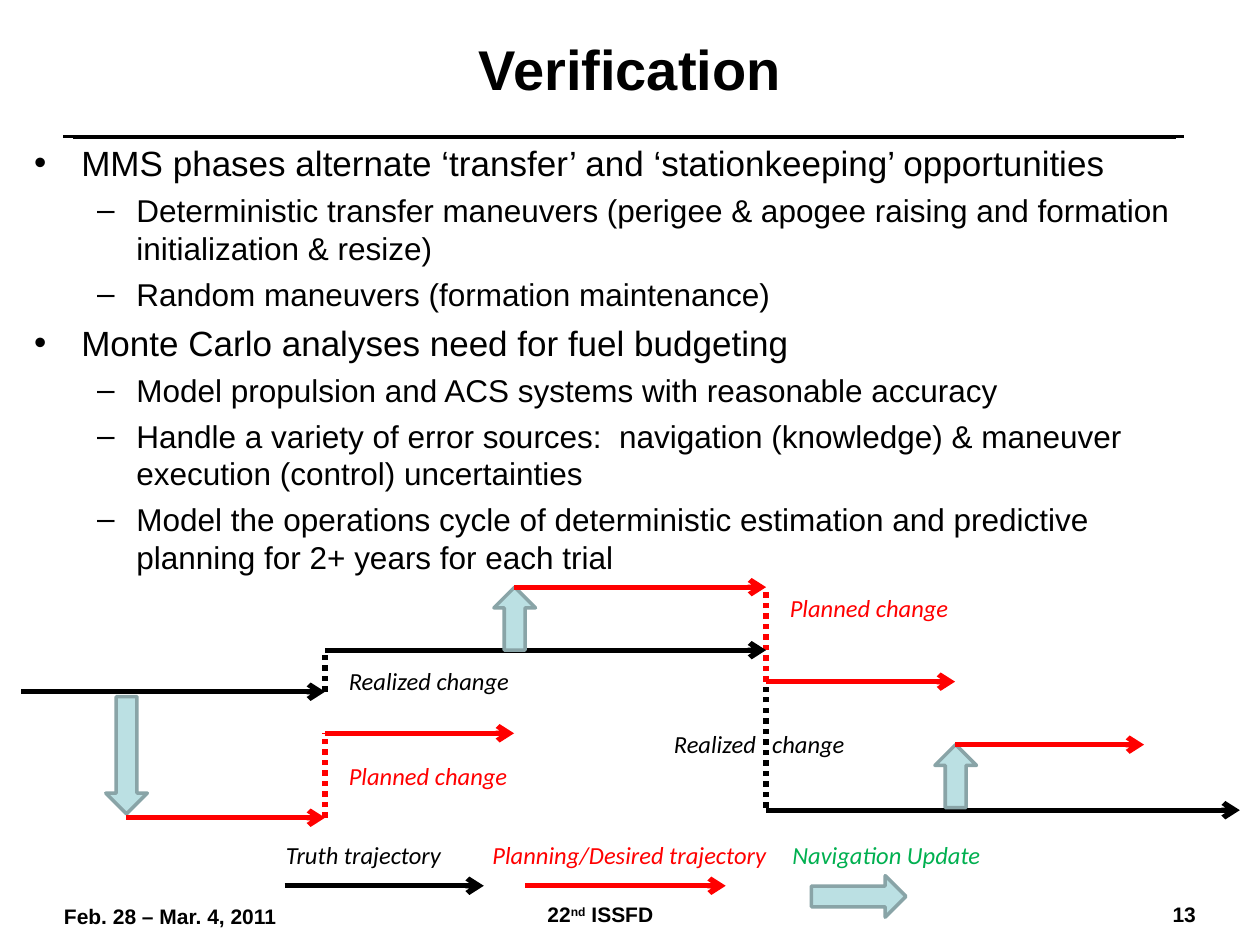
from lxml import etree
from pptx import Presentation
from pptx.dml.color import RGBColor
from pptx.enum.dml import MSO_LINE
from pptx.enum.shapes import MSO_CONNECTOR, MSO_SHAPE
from pptx.enum.text import MSO_ANCHOR, MSO_AUTO_SIZE, PP_ALIGN
from pptx.oxml.ns import qn
from pptx.util import Inches, Pt

STRAIGHT = MSO_CONNECTOR.STRAIGHT
DOTTED = MSO_LINE.ROUND_DOT
UP, DOWN, RIGHT = MSO_SHAPE.UP_ARROW, MSO_SHAPE.DOWN_ARROW, MSO_SHAPE.RIGHT_ARROW
ALIGN_LEFT, ALIGN_CENTER, ALIGN_RIGHT = PP_ALIGN.LEFT, PP_ALIGN.CENTER, PP_ALIGN.RIGHT
MIDDLE = MSO_ANCHOR.MIDDLE
NO_AUTOFIT = MSO_AUTO_SIZE.NONE

BLACK, RED, GREEN = "000000", "FF0000", "00B050"
UPDATE_FILL, UPDATE_LINE = "BBE0E3", "89A4A7"

TITLE_FONT = {"name": "Arial", "size": Pt(32), "bold": True}
LEVEL_FONTS = [{"name": "Arial", "size": Pt(20)}, {"name": "Arial", "size": Pt(18)}]
LEVEL_SPACES = [Pt(5), Pt(4.5)]
FOOTER_FONT = {"name": "Arial", "size": Pt(12), "bold": True}
LABEL_FONT = {"name": "Calibri", "size": Pt(14), "italic": True}

BULLETS = [
    (0, "MMS phases alternate ‘transfer’ and ‘stationkeeping’ opportunities"),
    (1, "Deterministic transfer maneuvers (perigee & apogee raising and formation "
        "initialization & resize)"),
    (1, "Random maneuvers (formation maintenance)"),
    (0, "Monte Carlo analyses need for fuel budgeting"),
    (1, "Model propulsion and ACS systems with reasonable accuracy"),
    (1, "Handle a variety of error sources:  navigation (knowledge) & maneuver "
        "execution (control) uncertainties"),
    (1, "Model the operations cycle of deterministic estimation and predictive "
        "planning for 2+ years for each trial"),
]
RULES = [(0.5, 9.4, 1.08, 1.75), (0.58, 9.33, 1.09, 2.25)]
TRAJECTORIES = {
    BLACK: [(0.17, 2.58, 5.49), (2.58, 6.08, 5.16), (6.08, 9.84, 6.43),
            (2.26, 3.84, 7.03)],
    RED: [(1, 2.58, 6.49), (2.58, 4.08, 5.82), (4.08, 6.08, 4.66),
          (6.08, 7.58, 5.41), (7.58, 9.08, 5.91), (4.17, 5.76, 7.03)],
}
CHANGES = {
    BLACK: [(2.58, 5.49, 5.16), (6.08, 6.41, 5.16)],
    RED: [(2.58, 6.49, 5.82), (6.08, 5.41, 4.66)],
}
UPDATES = [
    (DOWN, 0.84, 5.53, 0.33, 0.93),
    (UP, 3.92, 4.66, 0.33, 0.5),
    (UP, 7.42, 5.91, 0.33, 0.5),
    (RIGHT, 6.44, 6.95, 0.75, 0.33),
]
LABELS = [
    ("Truth trajectory", 2.17, 6.62, 1.75, BLACK),
    ("Planning/Desired trajectory", 3.81, 6.62, 2.58, RED),
    ("Navigation Update", 6.19, 6.62, 1.89, GREEN),
    ("Planned change", 2.67, 5.99, 1.75, RED),
    ("Realized change", 2.67, 5.24, 1.75, BLACK),
    ("Planned change", 6.17, 4.66, 1.75, RED),
    ("Realized", 5.25, 5.74, 0.85, BLACK),
    ("change", 6.03, 5.74, 0.97, BLACK),
]
FOOTERS = [
    (["Feb. 28 – Mar. 4, 2011"], 0.41, 7.12, 2.84, ALIGN_LEFT),
    (["22", "nd", " ISSFD"], 3.08, 7.11, 3.37, ALIGN_CENTER),
    (["13"], 5.92, 7.11, 3.67, ALIGN_RIGHT),
]


def color(value):
    return RGBColor.from_string(value)


def format_font(font, values, value=BLACK):
    for name, setting in values.items():
        setattr(font, name, setting)
    font.color.rgb = color(value)


def place(shape, left, top, width, height):
    shape.left, shape.top = Inches(left), Inches(top)
    shape.width, shape.height = Inches(width), Inches(height)


def fill_title(title):
    place(title, 0.5, 0, 9, 1.08)
    frame = title.text_frame
    frame.auto_size = NO_AUTOFIT
    frame.vertical_anchor = MIDDLE
    frame.text = "Verification"
    format_font(frame.paragraphs[0].font, TITLE_FONT)


def fill_body(body):
    place(body, 0.17, 1.07, 9.58, 3.56)
    frame = body.text_frame
    frame.auto_size = NO_AUTOFIT
    frame.text = "\n".join(text for _, text in BULLETS)
    for index, (para, (level, _)) in enumerate(zip(frame.paragraphs, BULLETS)):
        para.level = level
        para.space_before = LEVEL_SPACES[level] if index else Pt(0)
        format_font(para.font, LEVEL_FONTS[level])


def add_line(slide, start, end, value, width=3, dash=None, arrow=False):
    line = slide.shapes.add_connector(STRAIGHT, *map(Inches, start + end))
    line.line.color.rgb = color(value)
    line.line.width = Pt(width)
    if dash:
        line.line.dash_style = dash
    if arrow:
        etree.SubElement(line.line._get_or_add_ln(), qn("a:tailEnd"), type="arrow")
    etree.SubElement(line._element.spPr, qn("a:effectLst"))


def add_update(slide, kind, left, top, width, height):
    update = slide.shapes.add_shape(kind, *map(Inches, (left, top, width, height)))
    update.shadow.inherit = False
    update.fill.solid()
    update.fill.fore_color.rgb = color(UPDATE_FILL)
    update.line.color.rgb = color(UPDATE_LINE)
    update.line.width = Pt(2)


def add_text(slide, spans, left, top, width, font, value=BLACK, align=ALIGN_LEFT):
    box = slide.shapes.add_textbox(*map(Inches, (left, top, width, 0.34)))
    box.text_frame.word_wrap = True
    para = box.text_frame.paragraphs[0]
    para.alignment = align
    for text in spans:
        span = para.add_run()
        span.text = text
        format_font(span.font, font, value)
    return para


def add_diagram(slide):
    for value in (BLACK, RED):
        for x, start, end in CHANGES[value]:
            add_line(slide, (x, start), (x, end), value, dash=DOTTED)
    for value in (BLACK, RED):
        if value == RED:
            for update in UPDATES:
                add_update(slide, *update)
        for start, end, y in TRAJECTORIES[value]:
            add_line(slide, (start, y), (end, y), value, arrow=True)
    for text, left, top, width, value in LABELS:
        add_text(slide, [text], left, top, width, LABEL_FONT, value)


def add_footers(slide):
    for spans, left, top, width, align in FOOTERS:
        para = add_text(slide, spans, left, top, width, FOOTER_FONT, align=align)
        for span in para.runs:
            if span.text == "nd":
                span.font._element.set("baseline", "30000")


def main():
    deck = Presentation()
    deck.slide_width, deck.slide_height = Inches(10), Inches(7.5)
    page = deck.slides.add_slide(deck.slide_layouts[1])
    fill_title(page.shapes.title)
    fill_body(page.placeholders[1])
    for start, end, y, width in RULES:
        add_line(page, (start, y), (end, y), BLACK, width)
    add_diagram(page)
    add_footers(page)
    deck.save("out.pptx")


if __name__ == "__main__":
    main()
